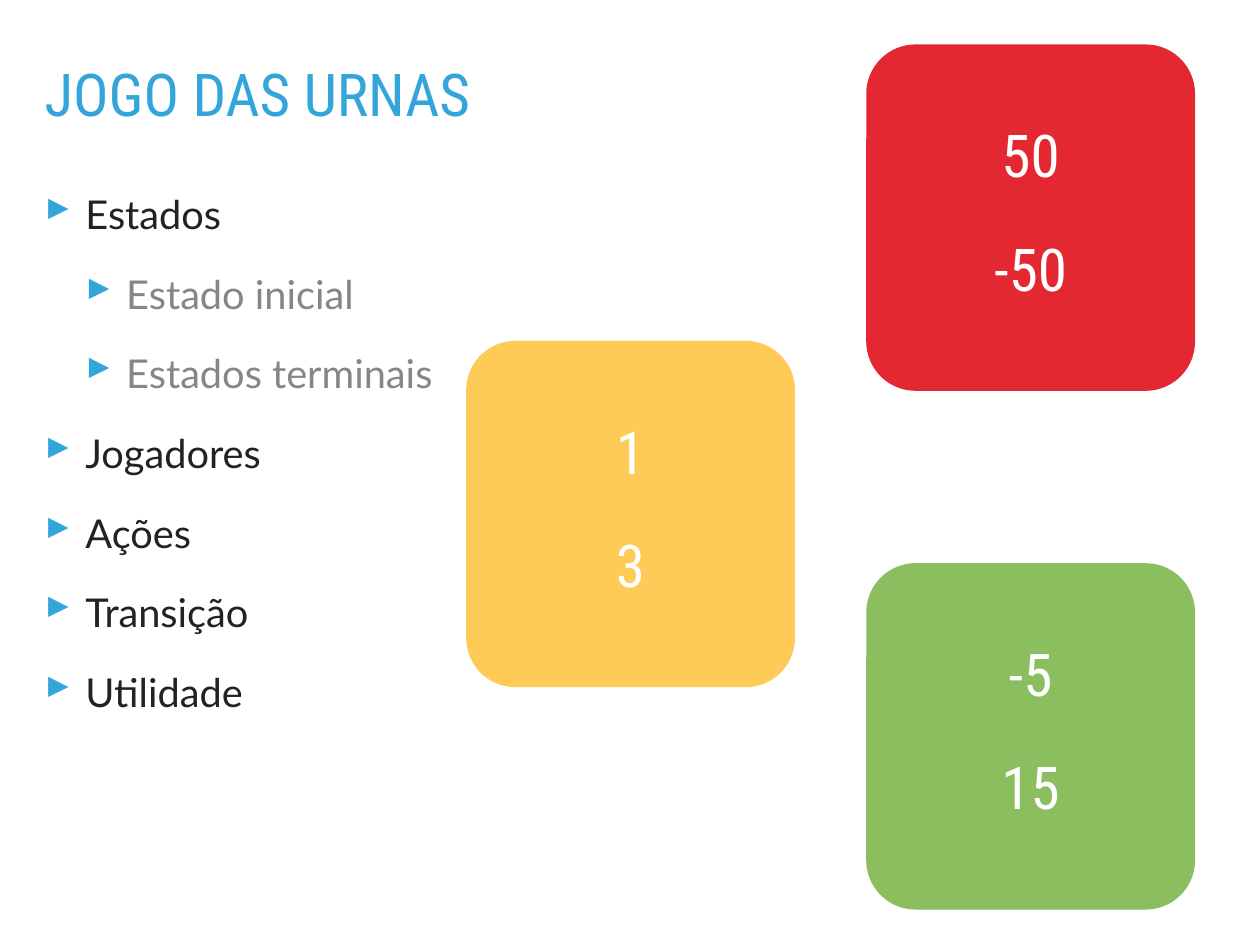
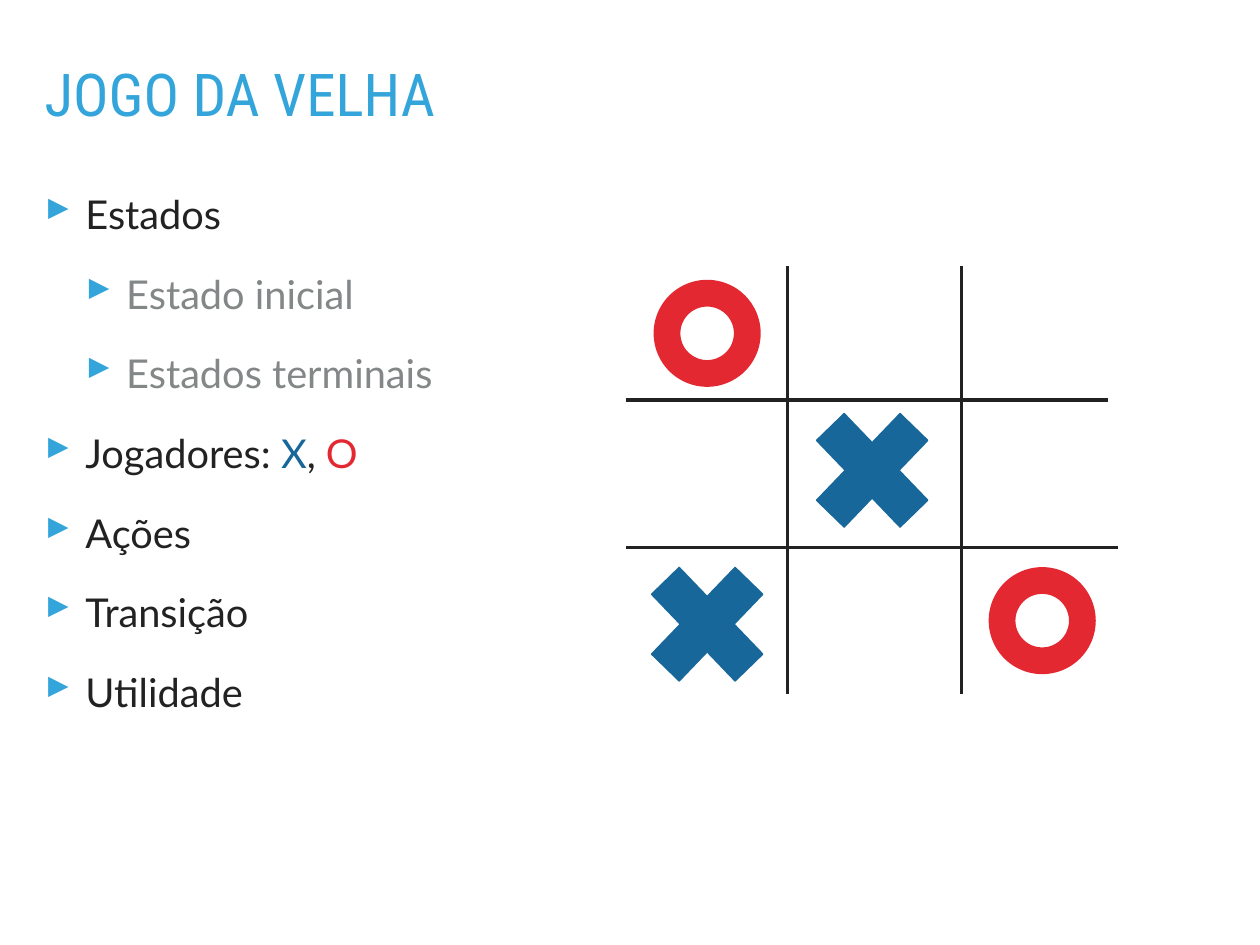
from dataclasses import dataclass

from lxml import etree
from pptx import Presentation
from pptx.dml.color import RGBColor
from pptx.enum.shapes import MSO_CONNECTOR as CONNECTOR, MSO_SHAPE as SHAPE
from pptx.enum.text import MSO_ANCHOR as ANCHOR, PP_ALIGN as ALIGN
from pptx.oxml.ns import qn
from pptx.util import Inches, Pt

WIDTH, HEIGHT = 14.22, 10.67
COLUMNS = 32
INSET = Inches(0.06)


@dataclass(frozen=True)
class Theme:
    accent: str = "34A5DA"
    ink: str = "222222"
    muted: str = "838787"
    red: str = "E42832"
    yellow: str = "FDCB56"
    green: str = "8ABE5E"
    blue: str = "18679A"
    white: str = "FFFFFF"
    display_font: str = "Roboto Condensed"
    body_font: str = "Lato"
    display_size: float = 48
    body_size: float = 32.3


THEME = Theme()
DISPLAY = {"name": THEME.display_font, "size": Pt(THEME.display_size)}
BODY = {"name": THEME.body_font, "size": Pt(THEME.body_size)}
FRAME = {"word_wrap": True, "margin_left": INSET, "margin_right": INSET,
         "margin_top": INSET, "margin_bottom": INSET}


def grid(*cells):
    """Turn grid units (32 square columns across the slide) into EMU."""
    return [Inches(cell * WIDTH / COLUMNS) for cell in cells]


def apply(target, values):
    for name, value in values.items():
        setattr(target, name, value)


def rgb(color):
    return RGBColor.from_string(color)


def add_run(p, text, color, style):
    r = p.add_run()
    r.text = text
    apply(r.font, style)
    r.font.color.rgb = rgb(color)


def add_paragraph(tf, index, **values):
    p = tf.add_paragraph() if index else tf.paragraphs[0]
    apply(p, values)
    return p


def paint(sp, color, outline=None):
    sp.shadow.inherit = False
    sp.fill.solid()
    sp.fill.fore_color.rgb = rgb(color)
    if outline:
        sp.line.color.rgb = rgb(color)
        sp.line.width = Pt(outline)
    else:
        sp.line.fill.background()


def add_text_frame(slide, *box):
    tf = slide.shapes.add_textbox(*grid(*box)).text_frame
    apply(tf, FRAME)
    return tf


def add_bullet(p, level):
    indent = Inches(0.46)
    pPr = p._p.get_or_add_pPr()
    pPr.set("marL", str(indent * (level + 1)))
    pPr.set("indent", str(-indent))
    color = etree.SubElement(pPr, qn("a:buClr"))
    etree.SubElement(color, qn("a:srgbClr"), val=THEME.accent)
    etree.SubElement(pPr, qn("a:buSzPct"), val="105000")
    etree.SubElement(pPr, qn("a:buChar"), char="▸")


def add_topic_slide(prs, title, players):
    """Add a slide with its title and the topic list; players is a list of runs."""
    slide = prs.slides.add_slide(prs.slide_layouts[6])
    tf = add_text_frame(slide, 1, 4.69, 30, 15.03)
    topics = [
        (0, [("Estados", THEME.ink)]),
        (1, [("Estado inicial", THEME.muted)]),
        (1, [("Estados terminais", THEME.muted)]),
        (0, players),
        *((0, [(text, THEME.ink)]) for text in ("Ações", "Transição", "Utilidade")),
    ]
    for i, (level, runs) in enumerate(topics):
        p = add_paragraph(tf, i, level=level, space_before=Pt(26 if i else 0))
        add_bullet(p, level)
        for text, color in runs:
            add_run(p, text, color, BODY)

    tf = add_text_frame(slide, 1, 1.67, 30, 1.78)
    p = add_paragraph(tf, 0, line_spacing=0.8)
    add_run(p, title, THEME.accent, DISPLAY)
    return slide


def add_urn(slide, x, y, color, values):
    sp = slide.shapes.add_shape(SHAPE.ROUNDED_RECTANGLE, *grid(x, y, 8.35, 8.8))
    sp.adjustments[0] = 0.15
    paint(sp, color)
    tf = sp.text_frame
    apply(tf, FRAME | {"vertical_anchor": ANCHOR.MIDDLE})
    for i, value in enumerate(values):
        p = add_paragraph(tf, i, alignment=ALIGN.CENTER, line_spacing=0.8,
                          space_before=Pt(46 if i else 0))
        add_run(p, value, THEME.white, DISPLAY)


def add_board_line(slide, *ends):
    line = slide.shapes.add_connector(CONNECTOR.STRAIGHT, *grid(*ends))
    line.line.color.rgb = rgb(THEME.ink)
    line.line.width = Pt(3)
    etree.SubElement(line._element.spPr, qn("a:effectLst"))


def add_nought(slide, x, y):
    size = 2.72
    sp = slide.shapes.add_shape(
        SHAPE.DONUT, *grid(x - size / 2, y - size / 2, size, size))
    sp.adjustments[0] = 0.25
    paint(sp, THEME.red)


def add_cross(slide, x, y):
    """Draw a cross centred on x, y by mirroring one quarter of its outline."""
    quarter = [(0, -0.7), (0.71, -1.44), (1.41, -0.76), (0.68, 0)]
    right = quarter + [(dx, -dy) for dx, dy in reversed(quarter[:-1])]
    left = [(-dx, -dy) for dx, dy in right[1:-1]]
    points = [grid(x + dx, y + dy) for dx, dy in right + left]
    outline = slide.shapes.build_freeform(*points[0])
    outline.add_line_segments(points[1:], close=True)
    paint(outline.convert_to_shape(), THEME.blue, outline=1.25)


def add_urns_slide(prs):
    slide = add_topic_slide(prs, "JOGO DAS URNAS", [("Jogadores", THEME.ink)])
    add_urn(slide, 22, 1.13, THEME.red, ("50", "-50"))
    add_urn(slide, 11.84, 8.66, THEME.yellow, ("1", "3"))
    add_urn(slide, 22, 14.31, THEME.green, ("-5", "15"))


def add_board_slide(prs):
    slide = add_topic_slide(prs, "JOGO DA VELHA", [
        ("Jogadores: ", THEME.ink), ("X", THEME.blue),
        (", ", THEME.ink), ("O", THEME.red)])
    for x in (20, 24.42):
        add_board_line(slide, x, 6.77, x, 17.64)
    for y, right in ((10.17, 28.15), (13.91, 28.4)):
        add_board_line(slide, 15.91, y, right, y)
    for center in ((17.96, 8.47), (26.47, 15.77)):
        add_nought(slide, *center)
    for center in ((22.15, 11.95), (17.96, 15.86)):
        add_cross(slide, *center)


def main():
    prs = Presentation()
    prs.slide_width, prs.slide_height = Inches(WIDTH), Inches(HEIGHT)
    add_urns_slide(prs)
    add_board_slide(prs)
    prs.save("out.pptx")


if __name__ == "__main__":
    main()
